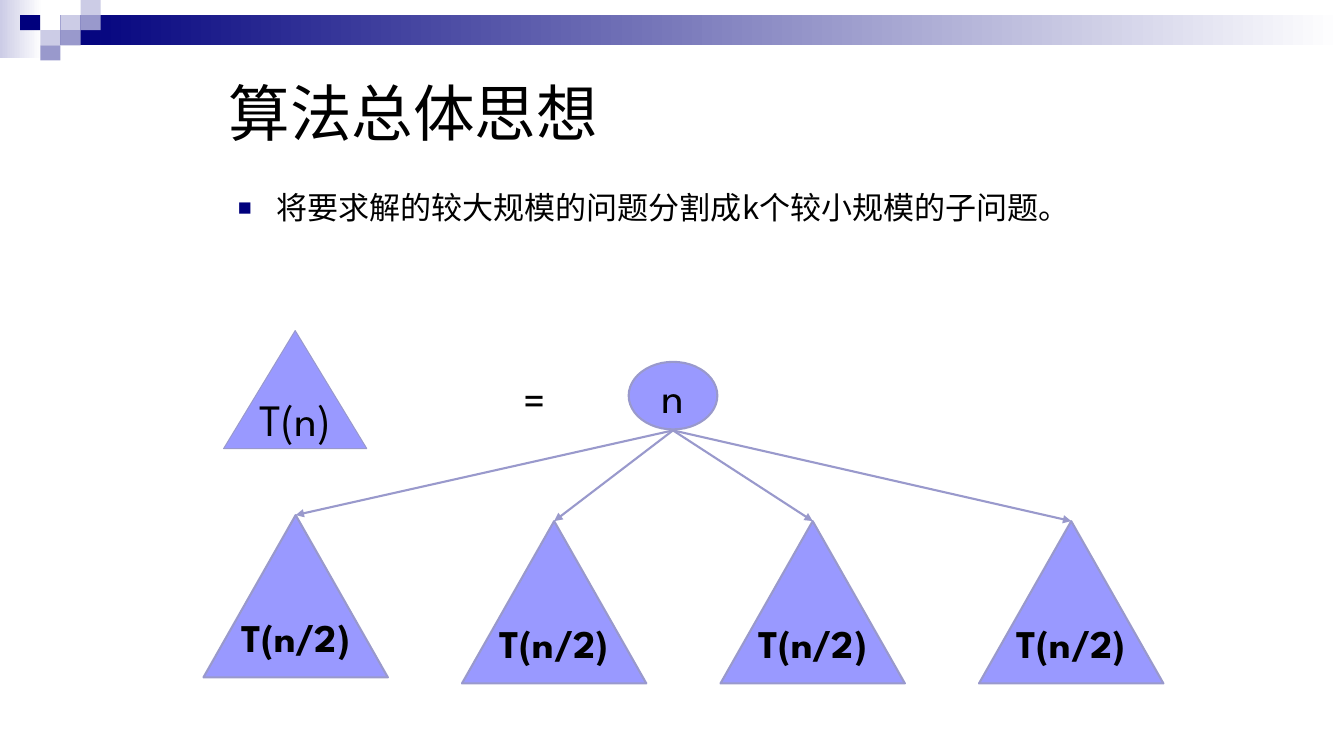
import dataclasses
import pptx
import pptx.util
import pptx.dml.color
import pptx.enum.dml
import pptx.enum.shapes
import pptx.enum.text
import pptx.oxml
import pptx.oxml.ns

Inches = pptx.util.Inches
Pt = pptx.util.Pt
RGB = pptx.dml.color.RGBColor.from_string
Shape = pptx.enum.shapes.MSO_SHAPE
Align = pptx.enum.text.PP_ALIGN
Anchor = pptx.enum.text.MSO_ANCHOR
Fit = pptx.enum.text.MSO_AUTO_SIZE


@dataclasses.dataclass(frozen=True)
class Theme:
    ink: str = "000000"
    white: str = "FFFFFF"
    navy: str = "00007D"
    mist: str = "CCCCE6"
    lilac: str = "9999CC"
    node: str = "9999FF"
    title: float = 44
    body: float = 22.2
    label: float = 32
    child: float = 28
    sans: str = "Arial"
    han: str = "Noto Sans CJK SC"
    math: str = "League Spartan"


THEME = Theme()


def add_xml(parent, tag, **attrs):
    item = pptx.oxml.parse_xml(f"<a:{tag} {pptx.oxml.ns.nsdecls('a')}/>")
    for key, value in attrs.items():
        item.set(key, value)
    parent.append(item)
    return item


def write(shape, text, size=THEME.label, font=THEME.math, bold=False,
          align=Align.CENTER, anchor=Anchor.MIDDLE, wrap=False, lead=None,
          bullet=False):
    frame = shape.text_frame
    frame.auto_size = Fit.NONE
    frame.word_wrap = wrap
    frame.vertical_anchor = anchor
    para = frame.paragraphs[0]
    if bullet:
        props = para._p.get_or_add_pPr()
        props.set("marL", str(Inches(0.38)))
        props.set("indent", str(Inches(-0.38)))
        add_xml(add_xml(props, "buClr"), "srgbClr", val=THEME.navy)
        add_xml(props, "buSzPct", val="75000")
        add_xml(props, "buChar", char="■")
    para.alignment = align
    para.space_before = Pt(0)
    if lead:
        para.line_spacing = lead
    run = para.add_run()
    run.text = text
    run.font.size = Pt(size)
    run.font.name = font
    run.font.bold = bold
    run.font.color.rgb = RGB(THEME.ink)
    add_xml(run._r.get_or_add_rPr(), "ea", typeface=THEME.han)


def place(shape, left, top, width, height):
    shape.left, shape.top = Inches(left), Inches(top)
    shape.width, shape.height = Inches(width), Inches(height)


def draw(slide, kind, box, fill, fade=None, line=None):
    shape = slide.shapes.add_shape(kind, *map(Inches, box))
    shape.shadow.inherit = False
    if fade:
        shape.fill.gradient()
        shape.fill.gradient_angle = 0
        for stop, color in zip(shape.fill.gradient_stops, (fill, fade)):
            stop.color.rgb = RGB(color)
    else:
        shape.fill.solid()
        shape.fill.fore_color.rgb = RGB(fill)
    if line:
        shape.line.color.rgb = RGB(THEME.lilac)
        shape.line.width = Pt(line)
    else:
        shape.line.fill.background()
    return shape


def arrow(slide, start, end):
    line = slide.shapes.add_connector(
        pptx.enum.shapes.MSO_CONNECTOR.STRAIGHT, *map(Inches, start + end))
    line.line.color.rgb = RGB(THEME.lilac)
    line.line.width = Pt(1.5)
    add_xml(line.line._get_or_add_ln(), "tailEnd", type="triangle")
    add_xml(line._element.spPr, "effectLst")


def banner(slide):
    draw(slide, Shape.RECTANGLE, (0, 0, 0.42, 0.58), THEME.mist, THEME.white)
    draw(slide, Shape.RECTANGLE, (0.6, 0.15, 12.73, 0.3), THEME.navy, THEME.white)
    # Mosaic tiles as column, row, colour
    tiles = [(3, 1, THEME.mist), (4, 0, THEME.mist), (4, 1, THEME.lilac),
             (2, 2, THEME.mist), (1, 1, THEME.navy), (3, 2, THEME.lilac),
             (2, 3, THEME.lilac)]
    for col, row, color in tiles:
        draw(slide, Shape.RECTANGLE, (col * 0.2, row * 0.15, 0.2, 0.15), color)


def tree(slide):
    # Root node
    root = draw(slide, Shape.OVAL, (6.24, 3.59, 0.88, 0.67), THEME.node, line=1.5)
    write(root, "n")

    # Subproblems, each with an arrow to its apex
    wide = 1.83
    for i, top in enumerate((5.11, 5.17, 5.17, 5.17)):
        left = 2.02 + i * 2.566
        arrow(slide, (6.68, 4.27), (left + wide / 2, top))
        child = draw(slide, Shape.ISOSCELES_TRIANGLE, (left, top, wide, 1.61),
                     THEME.node, line=1.5)
        write(child, "T(n/2)", size=THEME.child, bold=True)

    # Whole problem and equals sign
    whole = draw(slide, Shape.ISOSCELES_TRIANGLE, (2.22, 3.28, 1.42, 1.17),
                 THEME.node, line=0.75)
    write(whole, "T(n)")
    equals = slide.shapes.add_textbox(*map(Inches, (4.72, 3.64, 1.17, 0.64)))
    write(equals, "=", anchor=Anchor.TOP, wrap=True)


def main():
    deck = pptx.Presentation()
    deck.slide_width, deck.slide_height = Inches(13.34), Inches(7.5)
    slide = deck.slides.add_slide(deck.slide_layouts[1])
    banner(slide)

    # Title and list
    title, body = slide.shapes.title, slide.placeholders[1]
    place(title, 2.17, 0.5, 9, 1.21)
    write(title, "算法总体思想", size=THEME.title, font=THEME.sans,
          align=Align.LEFT, wrap=True)
    place(body, 2.26, 1.86, 8.83, 0.73)
    write(body, "将要求解的较大规模的问题分割成k个较小规模的子问题。",
          size=THEME.body, font=THEME.han, align=Align.LEFT,
          anchor=Anchor.TOP, wrap=True, lead=0.9, bullet=True)

    tree(slide)
    deck.save("out.pptx")


if __name__ == "__main__":
    main()
